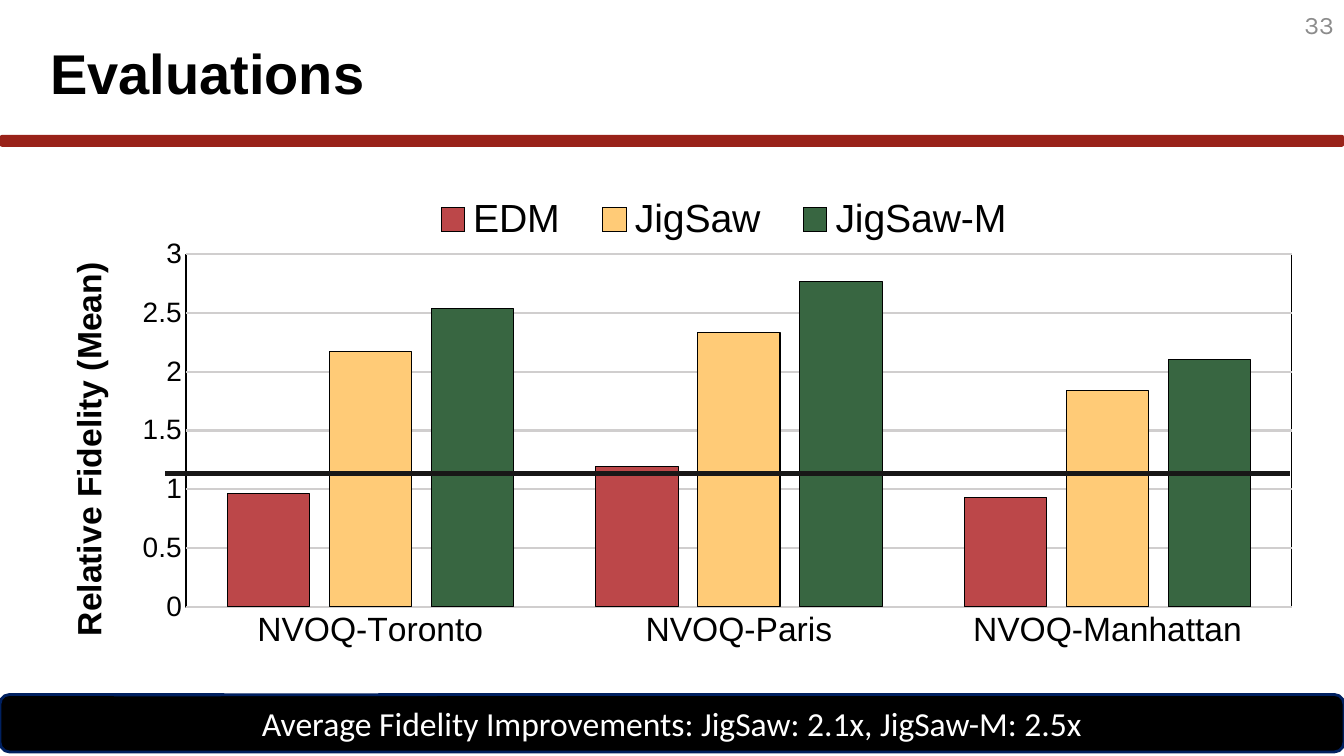
from lxml import etree
from pptx import Presentation
from pptx.chart.data import CategoryChartData
from pptx.dml.color import RGBColor
from pptx.enum.chart import XL_CHART_TYPE as ChartType, XL_LEGEND_POSITION as LegendPos, XL_TICK_MARK as Tick
from pptx.enum.shapes import MSO_CONNECTOR as Connector, MSO_SHAPE as Shape
from pptx.enum.text import MSO_ANCHOR as Anchor, PP_ALIGN as Align
from pptx.oxml import parse_xml
from pptx.oxml.ns import nsdecls, qn
from pptx.util import Cm, Pt

BLACK = RGBColor(0x00, 0x00, 0x00)
WHITE = RGBColor(0xFF, 0xFF, 0xFF)
RED = RGBColor(0x99, 0x22, 0x19)
NAVY = RGBColor(0x00, 0x20, 0x60)
GREY = RGBColor(0x8C, 0x8C, 0x8C)
GRID = RGBColor(0xD0, 0xCE, 0xCE)
INK = RGBColor(0x18, 0x17, 0x17)

HEADING = "Evaluations"
PAGE = "33"
TAKEAWAY = "Average Fidelity Improvements: JigSaw: 2.1x, JigSaw-M: 2.5x"
AXIS_LABEL = "Relative Fidelity (Mean)"
MACHINES = ["NVOQ-Toronto", "NVOQ-Paris", "NVOQ-Manhattan"]
METHODS = [
    ("EDM", [0.96, 1.19, 0.93], RGBColor(0xBC, 0x47, 0x49)),
    ("JigSaw", [2.17, 2.33, 1.84], RGBColor(0xFF, 0xCB, 0x77)),
    ("JigSaw-M", [2.54, 2.77, 2.1], RGBColor(0x38, 0x66, 0x41)),
]
HEADING_FORMAT = {"name": "Arial", "size": Pt(40), "bold": True}
PAGE_FORMAT = {"name": "Karla", "size": Pt(18)}
TAKEAWAY_FORMAT = {"name": "Calibri", "size": Pt(24)}
CHART_FORMAT = {"name": "Arial", "size": Pt(10)}
LEGEND_FORMAT = {"name": "Arial", "size": Pt(28)}
MACHINE_FORMAT = {"name": "Arial", "size": Pt(24)}
VALUE_FORMAT = {"name": "Arial", "size": Pt(20)}
AXIS_LABEL_FORMAT = {"name": "Arial", "size": Pt(24), "bold": True}
SCALE = {"minimum_scale": 0, "maximum_scale": 3, "major_unit": 0.5}

WIDTH = Cm(33.87)


def set_font(font, formats, color=BLACK):
    for key, value in formats.items():
        setattr(font, key, value)
    font.color.rgb = color


def set_line(line, color, points):
    line.color.rgb = color
    line.width = Pt(points)


def write(frame, text, formats, color, align):
    frame.word_wrap = True
    frame.vertical_anchor = Anchor.MIDDLE
    paragraph = frame.paragraphs[0]
    paragraph.text = text
    paragraph.alignment = align
    set_font(paragraph.runs[0].font, formats, color)
    return paragraph


def add_text(slide, box, *content):
    return write(slide.shapes.add_textbox(*box).text_frame, *content)


def add_bar(slide, kind, box, color):
    bar = slide.shapes.add_shape(kind, *box)
    bar.shadow.inherit = False
    bar.fill.solid()
    bar.fill.fore_color.rgb = color
    return bar


def place(parent, index, inner=False, **fractions):
    for old in parent.findall(qn("c:layout")):
        parent.remove(old)
    target = '<c:layoutTarget val="inner"/>' if inner else ""
    modes = "".join(f'<c:{key}Mode val="edge"/>' for key in "xy")
    sizes = "".join(f'<c:{key} val="{value}"/>' for key, value in fractions.items())
    parent.insert(index, parse_xml(
        f'<c:layout {nsdecls("c")}><c:manualLayout>{target}{modes}{sizes}</c:manualLayout></c:layout>'))


def add_fidelity_chart(slide):
    data = CategoryChartData()
    data.categories = MACHINES
    for name, values, _ in METHODS:
        data.add_series(name, values)
    chart = slide.shapes.add_chart(
        ChartType.COLUMN_CLUSTERED, Cm(1.02), Cm(4.09), Cm(32.18), Cm(12.52), data).chart
    set_font(chart.font, CHART_FORMAT)
    chart.has_title = False
    chart.has_legend = True
    legend = chart.legend
    legend.position = LegendPos.TOP
    legend.include_layout = False
    set_font(legend.font, LEGEND_FORMAT)
    place(legend._element, 1, x=0.29, y=0.06, w=0.49, h=0.11)

    plot = chart.plots[0]
    plot.gap_width, plot.overlap, plot.vary_by_categories = 100, -24, False
    for series, (_, _, color) in zip(plot.series, METHODS):
        series.format.fill.solid()
        series.format.fill.fore_color.rgb = color
        set_line(series.format.line, BLACK, 0.75)

    values = chart.value_axis
    for axis, formats in ((chart.category_axis, MACHINE_FORMAT), (values, VALUE_FORMAT)):
        set_font(axis.tick_labels.font, formats)
        axis.major_tick_mark = axis.minor_tick_mark = Tick.NONE
        axis.format.line.fill.background()
    for key, value in SCALE.items():
        setattr(values, key, value)
    values.tick_labels.number_format = "General"
    values.tick_labels.number_format_is_linked = False
    set_line(values.major_gridlines.format.line, GRID, 1.5)

    label = values.axis_title
    label.text_frame.text = AXIS_LABEL
    set_font(label.text_frame.paragraphs[0].runs[0].font, AXIS_LABEL_FORMAT)
    turn = label._element.find(".//" + qn("a:bodyPr"))
    turn.set("rot", "-5400000")
    turn.set("vert", "horz")
    place(label._element, 1, x=0.016, y=0.19)

    area = chart._chartSpace.find(".//" + qn("c:plotArea"))
    place(area, 0, inner=True, x=0.114, y=0.185, w=0.866, h=0.71)
    area.append(parse_xml(
        f'<c:spPr {nsdecls("c", "a")}><a:solidFill><a:srgbClr val="{WHITE}"/></a:solidFill>'
        f'<a:ln w="12700"><a:solidFill><a:srgbClr val="{BLACK}"/></a:solidFill></a:ln></c:spPr>'))


def main():
    deck = Presentation()
    deck.slide_width, deck.slide_height = WIDTH, Cm(19.05)
    slide = deck.slides.add_slide(deck.slide_layouts[6])

    rule = add_bar(slide, Shape.ROUNDED_RECTANGLE, (0, Cm(3.4), WIDTH, Cm(0.3)), RED)
    rule.line.fill.background()
    add_fidelity_chart(slide)
    heading = add_text(slide, (Cm(1.02), Cm(0.33), Cm(22.58), Cm(3.18)),
                       HEADING, HEADING_FORMAT, BLACK, Align.LEFT)
    heading.line_spacing = 0.9
    add_text(slide, (Cm(32.51), 0, Cm(1.36), Cm(1.22)), PAGE, PAGE_FORMAT, GREY, Align.RIGHT)

    baseline = slide.shapes.add_connector(Connector.STRAIGHT, Cm(4.17), Cm(11.93), Cm(32.51), Cm(11.93))
    set_line(baseline.line, INK, 4)
    etree.SubElement(baseline._element.spPr, qn("a:effectLst"))

    takeaway = add_bar(slide, Shape.ROUNDED_RECTANGULAR_CALLOUT, (0, Cm(17.5), WIDTH, Cm(1.45)), BLACK)
    for index, value in enumerate((-0.415, -0.491, 0.167)):
        takeaway.adjustments[index] = value
    set_line(takeaway.line, NAVY, 2)
    write(takeaway.text_frame, TAKEAWAY, TAKEAWAY_FORMAT, WHITE, Align.CENTER)

    deck.save("out.pptx")


if __name__ == "__main__":
    main()
